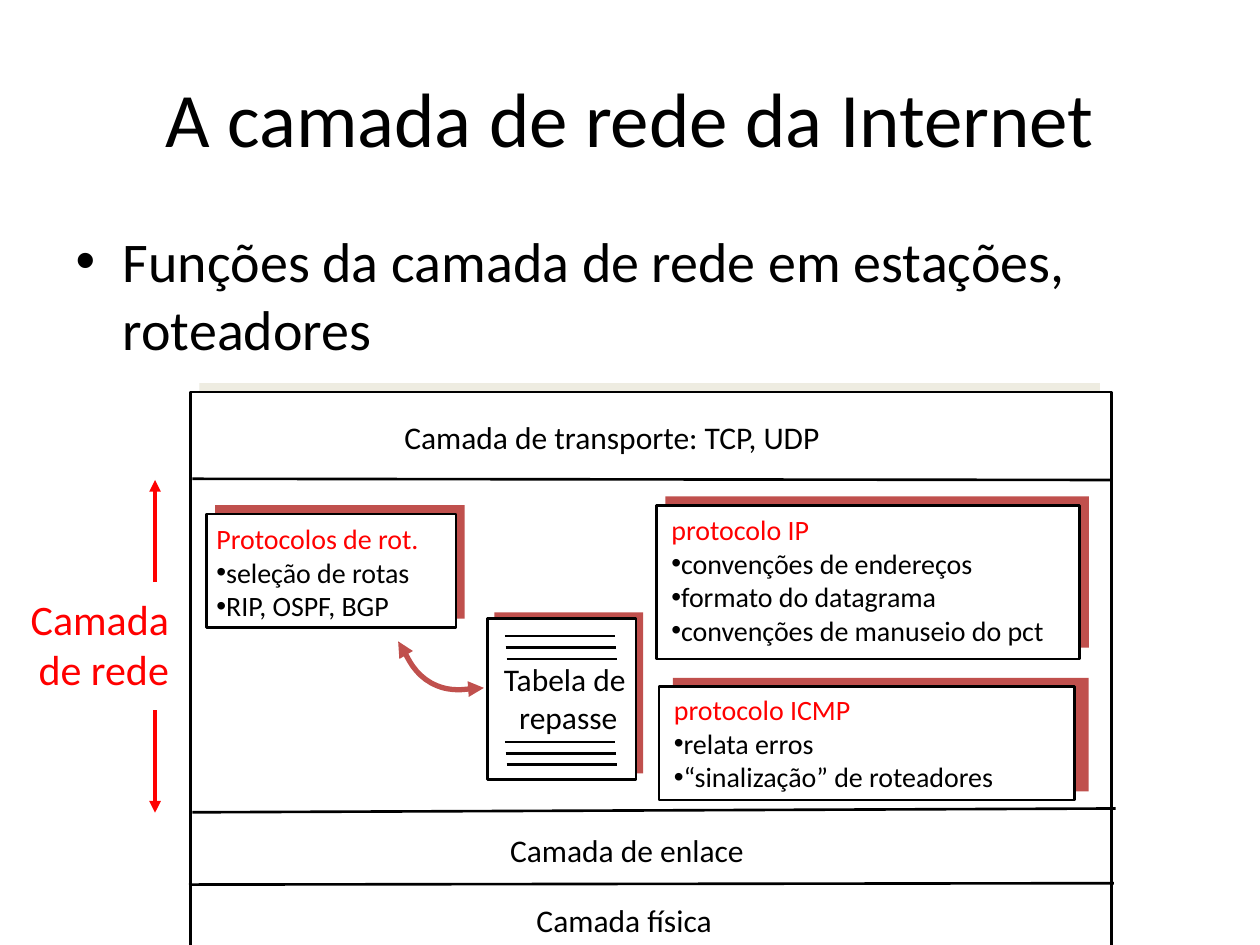
from lxml.etree import SubElement
from pptx import Presentation
from pptx.dml.color import RGBColor
from pptx.enum.shapes import MSO_CONNECTOR as Connector, MSO_SHAPE as Shape
from pptx.enum.text import MSO_ANCHOR as Anchor, MSO_AUTO_SIZE as AutoSize, PP_ALIGN as Align
from pptx.oxml.ns import qn
from pptx.util import Pt

BLACK, WHITE, RED, BRICK, CREAM = "000000", "FFFFFF", "FF0000", "C0504D", "EEECE1"


def colour(value):
    return RGBColor.from_string(value)


def format_para(para, size, value, align=None):
    para.alignment = align
    for span in para.runs:
        span.font.name = "Calibri"
        span.font.size = Pt(size)
        span.font.color.rgb = colour(value)


def fill_placeholder(box, text, place, size, align=None):
    box.left, box.top, box.width, box.height = map(Pt, place)
    box.text_frame.text = text
    format_para(box.text_frame.paragraphs[0], size, BLACK, align)


def add_bullet(para):
    properties = para._p.get_or_add_pPr()
    SubElement(properties, qn("a:buFont")).set("typeface", "Arial")
    SubElement(properties, qn("a:buChar")).set("char", "•")


def add_box(page, place, fill, outlined=False):
    box = page.shapes.add_shape(Shape.RECTANGLE, *map(Pt, place))
    box.shadow.inherit = False
    box.fill.solid()
    box.fill.fore_color.rgb = colour(fill)
    if outlined:
        box.line.color.rgb = colour(BLACK)
        box.line.width = Pt(1.5)
    else:
        box.line.fill.background()


def add_text(page, place, text, size, value=BLACK, align=Align.LEFT, wrap=False):
    box = page.shapes.add_textbox(*map(Pt, place))
    frame = box.text_frame
    frame.text = text
    frame.word_wrap = wrap
    frame.auto_size = AutoSize.SHAPE_TO_FIT_TEXT
    for para in frame.paragraphs:
        format_para(para, size, value, align)
    return frame


def style_line(line, value, width, *ends):
    line.line.color.rgb = colour(value)
    line.line.width = Pt(width)
    for end in ends:
        SubElement(line.line._ln, qn(f"a:{end}")).set("type", "triangle")


def add_line(page, points, value=BLACK, width=1.5, *ends):
    line = page.shapes.add_connector(Connector.STRAIGHT, *map(Pt, points))
    style_line(line, value, width, *ends)
    SubElement(line._element.spPr, qn("a:effectLst"))


def add_panel(page, shadow, front, text_place, heading, items):
    add_box(page, shadow, BRICK)
    add_box(page, front, WHITE, True)
    frame = add_text(page, text_place, "\n".join([heading, *items]), 16, wrap=True)
    format_para(frame.paragraphs[0], 16, RED, Align.LEFT)
    for para in frame.paragraphs[1:]:
        add_bullet(para)


def add_table_icon(page):
    add_box(page, (282.5, 350, 85, 92), BRICK)
    add_box(page, (278.5, 353.5, 85, 92), WHITE, True)
    add_text(page, (274.5, 373.5, 96.5, 50.5), "Tabela de\n repasse", 18, align=Align.CENTER)
    for top in (363.5, 424):
        for row in range(3):
            left, height = 288.5 + row * 0.5, top + row * 6.5
            add_line(page, (left, height, left + 63, height))


def bezier_point(curve, t):
    weights = ((1 - t) ** 3, 3 * t * (1 - t) ** 2, 3 * t * t * (1 - t), t ** 3)
    return tuple(Pt(sum(w * point[axis] for w, point in zip(weights, curve))) for axis in (0, 1))


def add_curve(page, curves, steps=12):
    points = [bezier_point(curve, step / steps) for curve in curves for step in range(1, steps + 1)]
    builder = page.shapes.build_freeform(*map(Pt, curves[0][0]))
    builder.add_line_segments(points, close=False)
    curve = builder.convert_to_shape()
    curve.shadow.inherit = False
    curve.fill.background()
    style_line(curve, BRICK, 3, "headEnd", "tailEnd")


def main():
    deck = Presentation()
    deck.slide_width, deck.slide_height = Pt(720), Pt(540)
    page = deck.slides.add_slide(deck.slide_layouts[1])
    title, body = page.placeholders
    fill_placeholder(title, "A camada de rede da Internet", (36, 21.6, 648, 90), 44, Align.CENTER)
    title.text_frame.vertical_anchor = Anchor.MIDDLE
    fill_placeholder(body, "Funções da camada de rede em estações, roteadores", (36, 126, 648, 356.4), 32)

    add_box(page, (114, 219, 514.5, 321), CREAM)
    add_box(page, (108.7, 224, 526.5, 321), WHITE, True)
    add_table_icon(page)
    for divider in ((108, 505.5, 636.5, 504.7), (110, 464.2, 637.5, 462), (110, 273.6, 635.5, 274.3)):
        add_line(page, divider)

    add_panel(page, (123, 288.7, 142.5, 64.8), (118, 293.8, 142.5, 64.8), (116.6, 294.5, 147.6, 64.8),
              "Protocolos de rot.", ("seleção de rotas", "RIP, OSPF, BGP"))
    add_curve(page, (((227.5, 366.5), (231, 368.6), (232.6, 382.3), (246.2, 390.2)),
                     ((246.2, 390.2), (259.2, 397.4), (270, 392.4), (276.5, 393.1))))
    add_panel(page, (380.2, 283.7, 242, 86.4), (375, 288.7, 242, 87.8), (376.6, 289.4, 249.8, 84.2),
              "protocolo IP",
              ("convenções de endereços", "formato do datagrama", "convenções de manuseio do pct"))
    add_panel(page, (384.5, 387.4, 237.6, 64.8), (376.6, 392.4, 237.6, 64.8), (378, 392.4, 234, 64.8),
              "protocolo ICMP", ("relata erros", "“sinalização” de roteadores"))

    for left, top, width, text in ((224, 235.4, 255, "Camada de transporte: TCP, UDP"),
                                   (284.4, 471.6, 149.8, "Camada de enlace"),
                                   (299.5, 511.2, 116, "Camada física")):
        add_text(page, (left, top, width, 28.8), text, 18)
    add_text(page, (2.9, 335.5, 100.8, 64.8), "Camada\nde rede", 24, RED, Align.RIGHT)
    for start, end in ((332.6, 274.3), (406, 464.4)):
        add_line(page, (88.6, start, 88.6, end), RED, 2.25, "tailEnd")
    deck.save("out.pptx")


if __name__ == "__main__":
    main()
